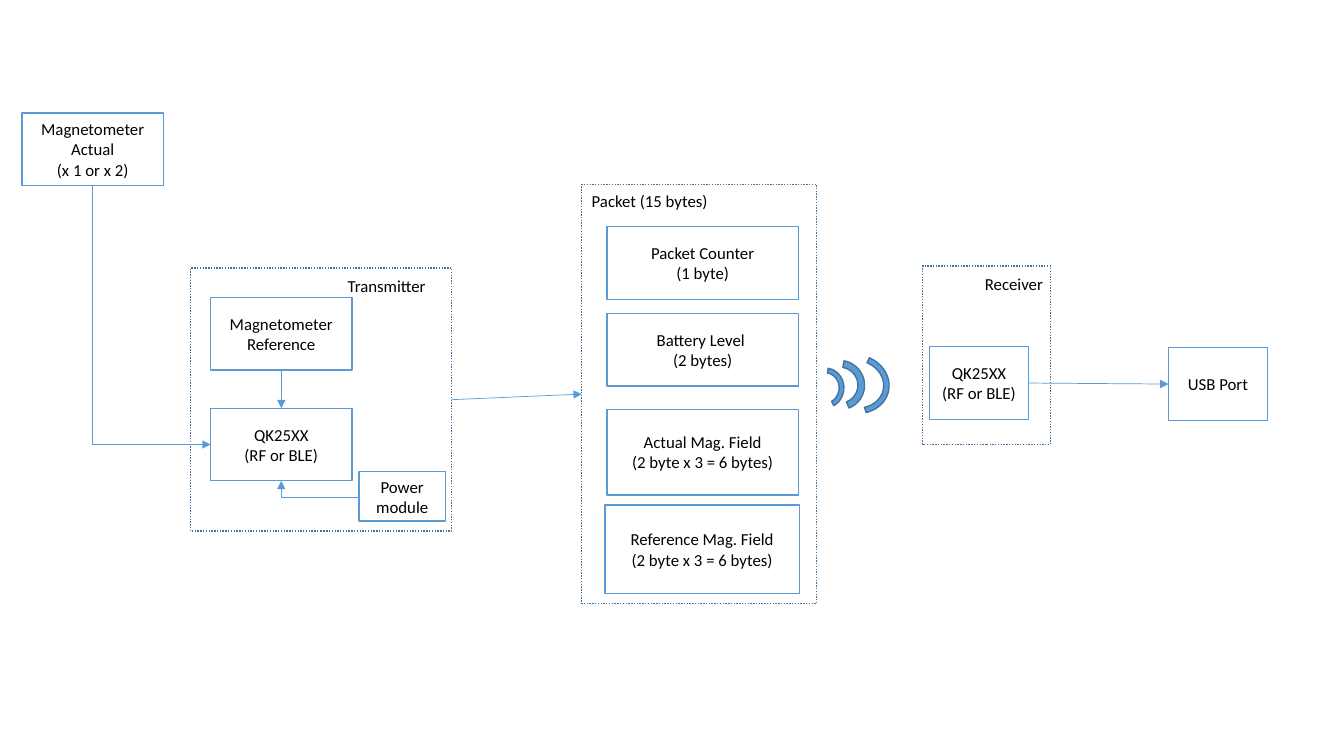
from pptx import Presentation
from pptx import util as u
from pptx.dml.color import RGBColor
from pptx.enum import dml, shapes, text
from lxml import etree

C = {"line": "5B9BD5", "frame": "43739E", "paper": "FFFFFF", "ink": "000000"}
A = "{http://schemas.openxmlformats.org/drawingml/2006/main}"

prs = Presentation()
prs.slide_width, prs.slide_height = u.Inches(13.33), u.Inches(7.5)
COL, ROW = prs.slide_width / 1333, prs.slide_height / 750
s = prs.slides.add_slide(prs.slide_layouts[6])


def add_item(kind, grid, lines=(), fill=None, line=None, align=text.PP_ALIGN.CENTER):
    x, y, w, h = grid
    box = [int(v) for v in (x * COL, y * ROW, w * COL, h * ROW)]
    if kind is None:
        sp = s.shapes.add_textbox(*box)
    else:
        sp = s.shapes.add_shape(kind, *box)
        sp.shadow.inherit = False
        sp.line.color.rgb = RGBColor.from_string(C[line])
        sp.line.width = u.Pt(1)
        if fill:
            sp.fill.solid()
            sp.fill.fore_color.rgb = RGBColor.from_string(C[fill])
        else:
            sp.fill.background()
    tf = sp.text_frame
    tf.word_wrap = True
    for i, words in enumerate(lines):
        p = tf.add_paragraph() if i else tf.paragraphs[0]
        p.alignment = align
        r = p.add_run()
        r.text = words
        r.font.name, r.font.size = "Calibri", u.Pt(12)
        r.font.color.rgb = RGBColor.from_string(C["ink"])
    return sp


def add_arrow(kind, x1=0, y1=0, x2=0, y2=0):
    cx = s.shapes.add_connector(kind, int(x1 * COL), int(y1 * ROW), int(x2 * COL), int(y2 * ROW))
    cx.line.color.rgb = RGBColor.from_string(C["line"])
    cx.line.width = u.Pt(0.5)
    etree.SubElement(cx.line._get_or_add_ln(), A + "tailEnd", type="triangle")
    etree.SubElement(cx._element.spPr, A + "effectLst")
    return cx


RECT = shapes.MSO_SHAPE.RECTANGLE
chip = ["QK25XX", "(RF or BLE)"]
boxes = {
    "actual": ((22, 112, 140, 72), ["Magnetometer", "Actual", "(x 1 or x 2)"]),
    "reference": ((209, 295, 140, 72), ["Magnetometer", "Reference"]),
    "sender": ((209, 405, 140, 72), chip),
    "power": ((356, 468, 86, 49), ["Power module"]),
    "battery": ((602, 311, 190, 72), ["Battery Level ", "(2 bytes)"]),
    "actual field": ((602, 406, 190, 85), ["Actual Mag. Field", "(2 byte x 3 = 6 bytes)"]),
    "reference field": ((600, 501, 193, 88), ["Reference Mag. Field", "(2 byte x 3 = 6 bytes)"]),
    "counter": ((602, 225, 190, 72), ["Packet Counter", "(1 byte)"]),
    "listener": ((922, 344, 98, 72), chip),
    "usb": ((1159, 345, 98, 72), ["USB Port"]),
}
node = {}
for name, (grid, lines) in boxes.items():
    node[name] = add_item(RECT, grid, lines, "paper", "line")

frames = [
    ("Transmitter", (189, 266, 259, 261), (335, 269, 114, 30)),
    ("Packet (15 bytes)", (577, 183, 233, 416), (577, 184, 155, 30)),
    ("Receiver", (915, 264, 127, 177), (967, 267, 82, 30)),
]
for title, grid, label in frames:
    node[title] = add_item(RECT, grid, line="frame")
    node[title].line.dash_style = dml.MSO_LINE.ROUND_DOT
    tag = add_item(None, label, [title], align=text.PP_ALIGN.LEFT)
    tag.text_frame.auto_size = text.MSO_AUTO_SIZE.SHAPE_TO_FIT_TEXT

links = [
    ("reference", 2, "sender", 0),
    ("Transmitter", 3, "Packet (15 bytes)", 1),
    ("listener", 3, "usb", 1),
]
for start, out_side, end, in_side in links:
    cx = add_arrow(shapes.MSO_CONNECTOR.STRAIGHT)
    cx.begin_connect(node[start], out_side)
    cx.end_connect(node[end], in_side)

elbows = [
    ((22, 254, 257, 117), {"rot": "16200000", "flipH": "1"}),
    ((279, 477, 77, 16), {"rot": "10800000"}),
]
for (x, y, w, h), turn in elbows:
    cx = add_arrow(shapes.MSO_CONNECTOR.ELBOW, x, y, x + w, y + h)
    cx._element.spPr.find(A + "prstGeom").set("prst", "bentConnector2")
    for key, value in turn.items():
        cx._element.spPr.find(A + "xfrm").set(key, value)

waves = [
    ((798, 366, 40, 38), 99.6, (108, 193.93, 0.125)),
    ((808, 357, 49, 50), 100.9, (108, 195.85, 0.134)),
    ((820, 348, 58, 66), 102.6, (116.74, 196.62, 0.093)),
]
for grid, angle, bends in waves:
    arc = add_item(shapes.MSO_SHAPE.BLOCK_ARC, grid, fill="line", line="frame")
    arc.rotation = angle
    for i, bend in enumerate(bends):
        arc.adjustments[i] = bend

prs.save("out.pptx")
